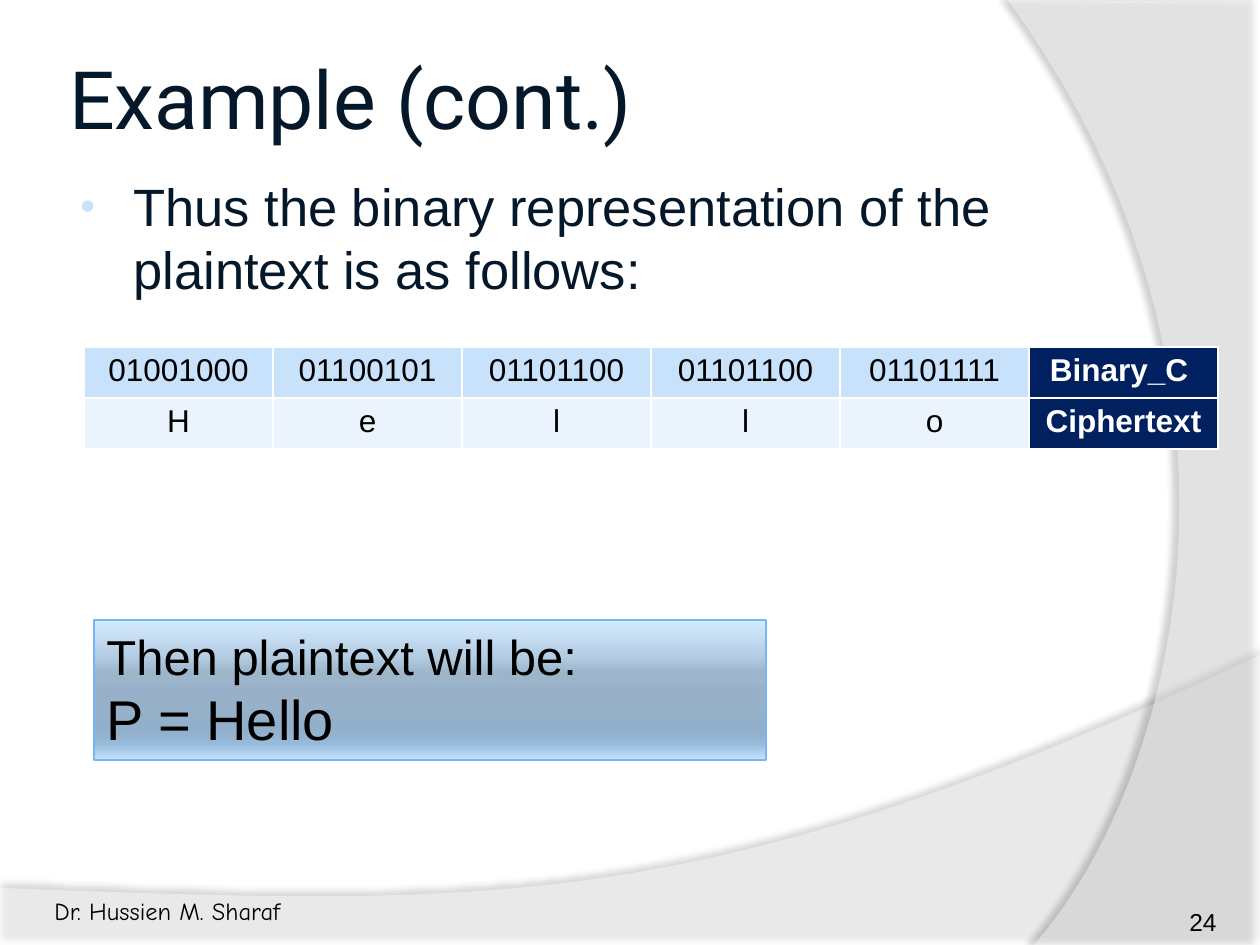
from lxml.etree import SubElement
from pptx import Presentation
from pptx.dml.color import RGBColor
from pptx.enum.shapes import MSO_SHAPE
from pptx.enum.text import MSO_ANCHOR, PP_ALIGN as Align
from pptx.oxml.ns import qn
from pptx.util import Emu, Pt

EMU_PER_PX = 914400 / 126
CURVE_STEPS = 40
INK = "041829"
BINARY_ROW = ["01001000", "01100101", "01101100", "01101100", "01101111", "Binary_C "]
TEXT_ROW = ["H", "e", "l", "l", "o", "Ciphertext"]
PANEL_STOPS = [(0, "D4EAFF"), (25, "B6CEE4"), (38, "9CB5CB"), (55, "98B1C8"),
               (80, "92B0CB"), (88, "96BAD9"), (100, "C2E2FF")]


def px(value):
    return Emu(round(value * EMU_PER_PX))


def color(value):
    return RGBColor.from_string(value)


def add_xml(parent, tag, **attributes):
    return SubElement(parent, qn(tag), {key: str(value) for key, value in attributes.items()})


def place(shape, left, top, width, height):
    shape.left, shape.top = px(left), px(top)
    shape.width, shape.height = px(width), px(height)


def format_text(paragraph, size, ink="000000", font="Arial", bold=False, align=Align.LEFT):
    paragraph.alignment = align
    for run in paragraph.runs:
        run.font.name, run.font.size, run.font.bold = font, Pt(size), bold
        run.font.color.rgb = color(ink)


def bezier(start, control_1, control_2, end):
    """Return points along a cubic curve, without its start."""
    points = []
    for step in range(1, CURVE_STEPS + 1):
        t = step / CURVE_STEPS
        weights = ((1 - t) ** 3, 3 * t * (1 - t) ** 2, 3 * t * t * (1 - t), t ** 3)
        corners = zip(start, control_1, control_2, end)
        points.append(tuple(sum(w * c for w, c in zip(weights, axis)) for axis in corners))
    return points


def add_swoosh(slide, points, opacity, shadow_opacity, distance, degrees):
    """Add a translucent white shape that casts a soft shadow."""
    vertices = [(px(x), px(y)) for x, y in points]
    builder = slide.shapes.build_freeform(*vertices[0], scale=1.0)
    builder.add_line_segments(vertices[1:], close=True)
    shape = builder.convert_to_shape()
    shape.fill.solid()
    shape.fill.fore_color.rgb = color("FFFFFF")
    shape.line.fill.background()
    shape.shadow.inherit = False
    properties = shape._element.spPr
    fill_color = properties.find(qn("a:solidFill")).find(qn("a:srgbClr"))
    add_xml(fill_color, "a:alpha", val=opacity * 1000)
    shadow = add_xml(properties.find(qn("a:effectLst")), "a:outerShdw", blurRad=Pt(4),
                     dist=Pt(distance), dir=degrees * 60000, algn="ctr", rotWithShape=0)
    shadow_color = add_xml(shadow, "a:srgbClr", val="000000")
    add_xml(shadow_color, "a:alpha", val=shadow_opacity * 1000)


def add_title(slide):
    title = slide.shapes.title
    place(title, 63, 0, 1029, 195)
    frame = title.text_frame
    frame.text = "Example (cont.)"
    frame.vertical_anchor = MSO_ANCHOR.MIDDLE
    frame.margin_left = frame.margin_right = px(6)
    format_text(frame.paragraphs[0], 46, INK, "Roboto")


def add_text(slide, box, text, size, **style):
    text_box = slide.shapes.add_textbox(*map(px, box))
    text_box.text_frame.word_wrap = True
    paragraph = text_box.text_frame.paragraphs[0]
    paragraph.text = text
    format_text(paragraph, size, **style)
    return paragraph


def add_bullet(paragraph):
    properties = paragraph._p.get_or_add_pPr()
    properties.set("marL", str(px(58)))
    properties.set("indent", str(px(-53)))
    add_xml(add_xml(properties, "a:buClr"), "a:srgbClr", val="C7E2FA")
    add_xml(properties, "a:buSzPct", val=80000)
    add_xml(properties, "a:buFont", typeface="Arial")
    add_xml(properties, "a:buChar", char="•")


def add_cell_borders(cell):
    properties = cell._tc.get_or_add_tcPr()
    for side in "LRTB":
        line = add_xml(properties, f"a:ln{side}", w=Pt(1))
        add_xml(add_xml(line, "a:solidFill"), "a:srgbClr", val="FFFFFF")


def add_letter_table(slide):
    rows = [(BINARY_ROW, "C7E2FA"), (TEXT_ROW, "EBF4FD")]
    table = slide.shapes.add_table(2, len(TEXT_ROW), px(84), px(347), px(1134), px(102)).table
    table.first_row = table.horz_banding = False
    for row, (texts, row_fill) in enumerate(rows):
        for column, text in enumerate(texts):
            is_label = column == len(texts) - 1
            cell = table.cell(row, column)
            cell.text = text
            add_cell_borders(cell)
            cell.fill.solid()
            cell.fill.fore_color.rgb = color("002060" if is_label else row_fill)
            format_text(cell.text_frame.paragraphs[0], 18, "FFFFFF" if is_label else "000000",
                        bold=is_label, align=Align.CENTER)


def add_result_panel(slide):
    panel = slide.shapes.add_shape(MSO_SHAPE.RECTANGLE, px(94), px(620), px(672), px(140))
    panel.shadow.inherit = False
    panel.fill.gradient()
    panel.fill.gradient_angle = 270
    stops = panel._element.spPr.find(qn("a:gradFill")).find(qn("a:gsLst"))
    stops.clear()
    for position, stop_color in PANEL_STOPS:
        add_xml(add_xml(stops, "a:gs", pos=position * 1000), "a:srgbClr", val=stop_color)
    panel.line.color.rgb = color("77B7F1")
    panel.line.width = Pt(0.75)
    frame = panel.text_frame
    frame.vertical_anchor = MSO_ANCHOR.TOP
    frame.text = "Then plaintext will be:\nP = Hello"
    for paragraph, size in zip(frame.paragraphs, (28, 32)):
        format_text(paragraph, size)


def main():
    presentation = Presentation()
    presentation.slide_width, presentation.slide_height = px(1260), px(945)
    slide = presentation.slides.add_slide(presentation.slide_layouts[5])

    bottom_curve = bezier((1260, 655), (704, 919), (493, 906), (0, 888))
    add_swoosh(slide, [(0, 945), (1260, 945), (1260, 655), *bottom_curve], 45, 35, 3.5, 270)
    right_curve = bezier((1034, 945), (1178, 780), (1283, 378), (1008, 0))
    add_swoosh(slide, [(1260, 2), (1260, 945), (1034, 945), *right_curve], 40, 45, 4, 180)

    add_title(slide)
    body = add_text(slide, (63, 168, 1029, 677),
                    "Thus the binary representation of the plaintext is as follows:", 30, ink=INK)
    add_bullet(body)
    add_letter_table(slide)
    add_result_panel(slide)
    add_text(slide, (42, 890, 347, 40), "Dr. Hussien M. Sharaf", 14, font="Comic Neue")
    add_text(slide, (1124, 901, 105, 34), "24", 14, align=Align.RIGHT)
    presentation.save("out.pptx")


if __name__ == "__main__":
    main()
